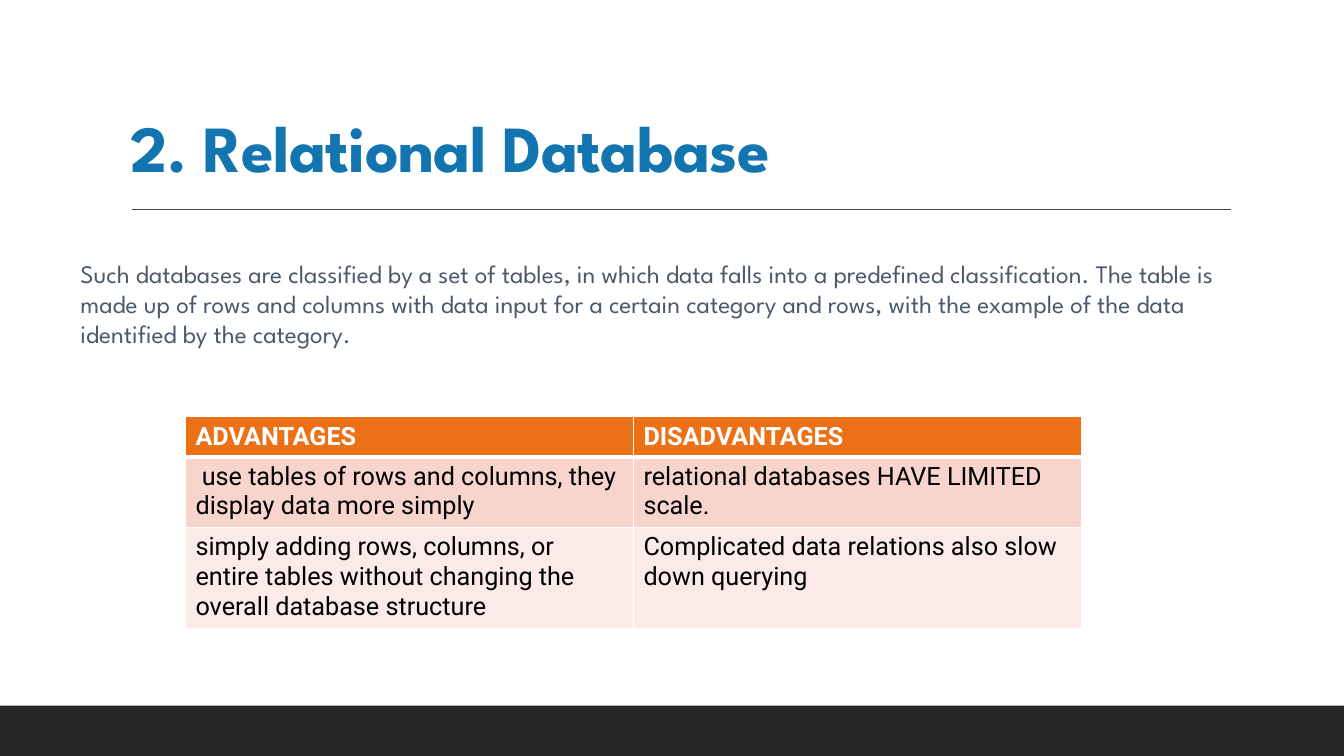
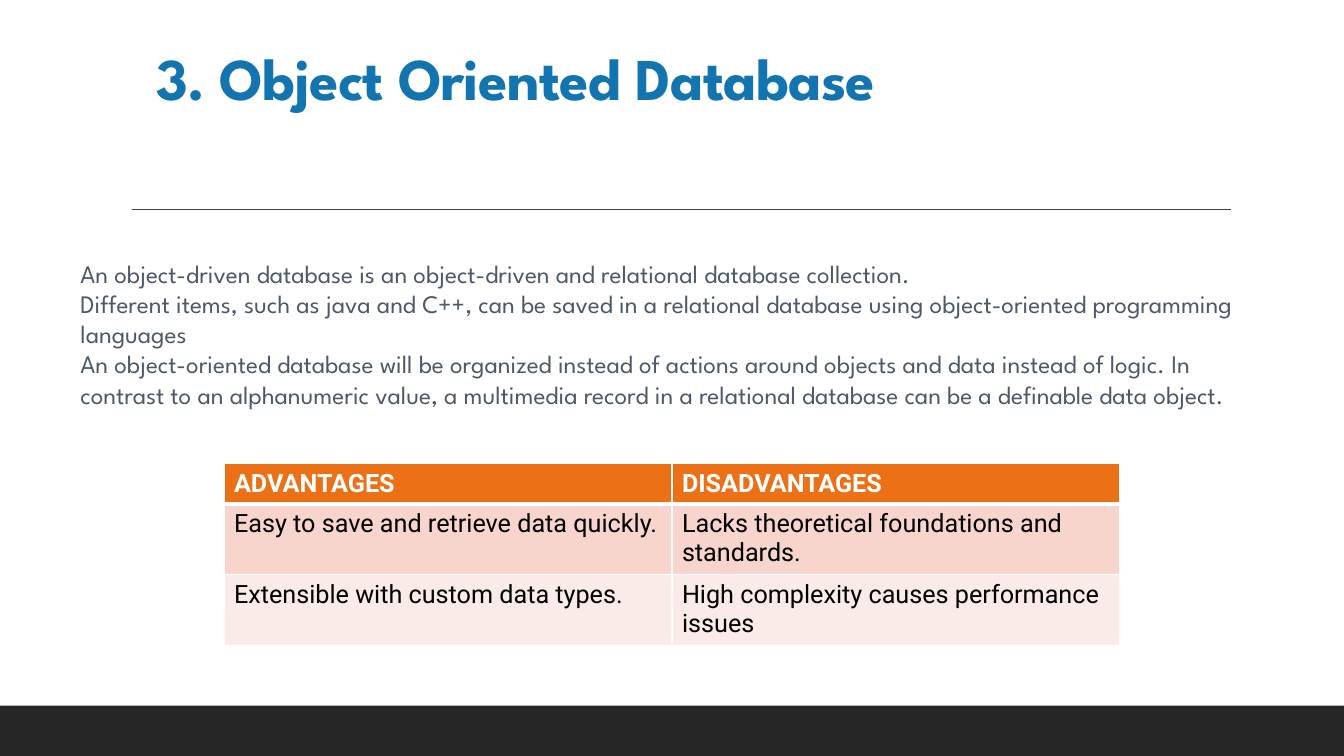
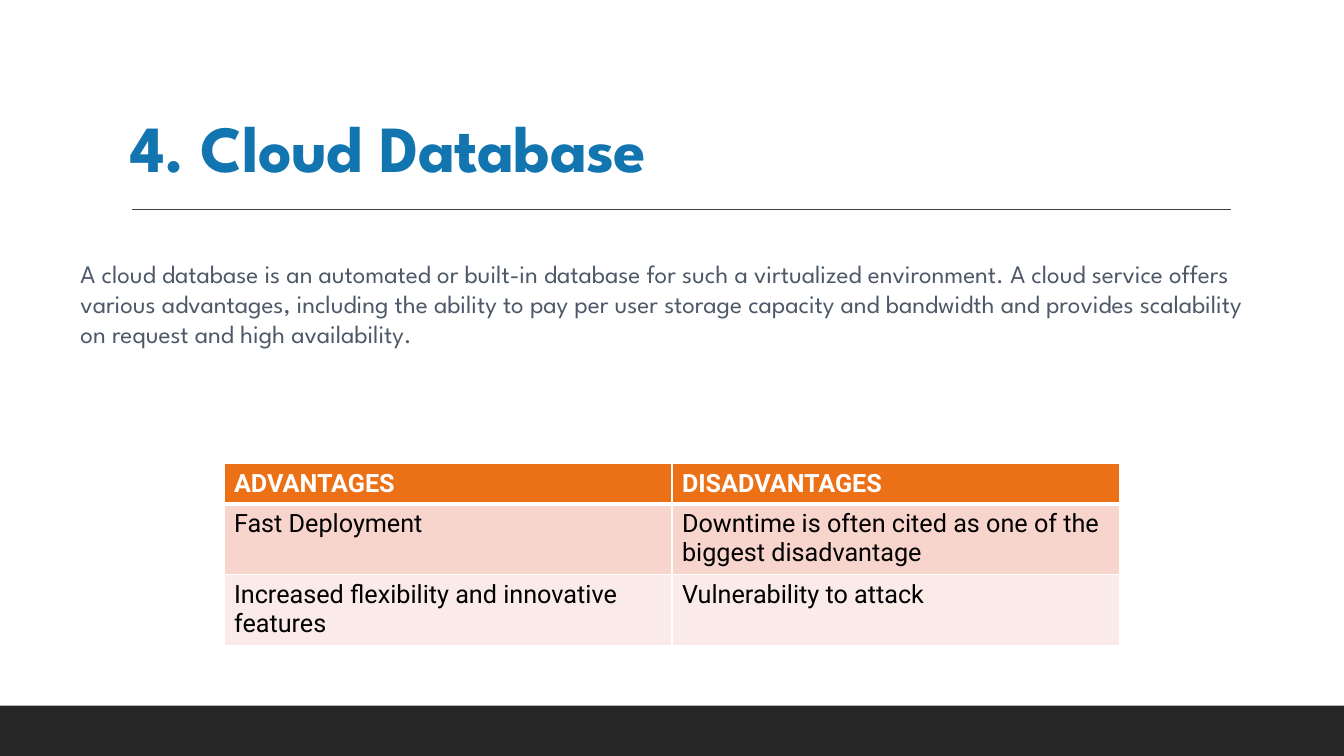
import pptx
import pptx.util
import pptx.dml.color
import pptx.enum.shapes
import pptx.enum.text
import pptx.oxml
import pptx.oxml.ns

Pt = pptx.util.Pt
WIDE, HIGH = 960, 540
BAND = 36
RULE = (94.3, 879.1, 149.8)
BODY = (50.4, 180.7, 862.6)
COL = 320
EDGE = "FFFFFF"
HEAD = ("ADVANTAGES", "DISADVANTAGES")
FILLS = ("EC7016", "F8D5CC", "FBEBE8")

TITLE = {"name": "League Spartan", "bold": True, "color": "1375B0"}
PROSE = {"name": "League Spartan", "size": Pt(18), "color": "4D5968"}
TOP = {"name": "Roboto", "size": Pt(18), "bold": True, "color": "FFFFFF"}
CELL = {"name": "Roboto", "size": Pt(18), "bold": False, "color": "000000"}

HIGHER = {"at": (86.4, 22.3, 792, 114.5), "size": 47}
SLIDES = [
    {
        "title": "2. Relational Database",
        "place": HIGHER,
        "prose": [
            "Such databases are classified by a set of tables, in which data falls into a predefined classification. The table is made up of rows and columns with data input for a certain category and rows, with the example of the data identified by the category.",
        ],
        "tall": 72.7,
        "grid": (132.5, 297.6),
        "rows": (28.4, 50, 71.8),
        "cells": [
            (" use tables of rows and columns, they display data more simply",
             "relational databases HAVE LIMITED scale."),
            ("simply adding rows, columns, or entire tables without changing the overall database structure",
             "Complicated data relations also slow down querying"),
        ],
    },
    {
        "title": "3. Object Oriented Database",
        "place": {"at": (104.4, 14.3, 792, 70), "size": 42.3},
        "prose": [
            "An object-driven database is an object-driven and relational database collection.",
            "Different items, such as java and C++, can be saved in a relational database using object-oriented programming languages",
            "An object-oriented database will be organized instead of actions around objects and data instead of logic. In contrast to an alphanumeric value, a multimedia record in a relational database can be a definable data object.",
        ],
        "tall": 138.2,
        "grid": (160, 331.2),
        "rows": (28.4, 50.4, 50.4),
        "cells": [
            ("Easy to save and retrieve data quickly.",
             "Lacks theoretical foundations and standards."),
            ("Extensible with custom data types.",
             "High complexity causes performance issues"),
        ],
    },
    {
        "title": "4. Cloud Database",
        "place": HIGHER,
        "prose": [
            "A cloud database is an automated or built-in database for such a virtualized environment. A cloud service offers various advantages, including the ability to pay per user storage capacity and bandwidth and provides scalability on request and high availability.",
        ],
        "tall": 72.7,
        "grid": (160, 331.2),
        "rows": (28.4, 50.4, 50.4),
        "cells": [
            ("Fast Deployment",
             "Downtime is often cited as one of the biggest disadvantage"),
            ("Increased flexibility and innovative features",
             "Vulnerability to attack"),
        ],
    },
]


def paint(item, tone):
    """Set a colour format from a hex string."""
    item.rgb = pptx.dml.color.RGBColor.from_string(tone)


def fill(item, tone):
    """Give an item a solid fill."""
    item.fill.solid()
    paint(item.fill.fore_color, tone)


def style(font, look):
    """Apply a dict of format values to a font."""
    for key, value in look.items():
        if key == "color":
            paint(font.color, value)
        else:
            setattr(font, key, value)


def write(frame, lines, look):
    """Write one styled paragraph per line."""
    frame.word_wrap = True
    for num, line in enumerate(lines):
        para = frame.add_paragraph() if num else frame.paragraphs[0]
        run = para.add_run()
        run.text = line
        style(run.font, look)


def box(slide, at, lines, look):
    """Add a wrapped text box and return its frame."""
    frame = slide.shapes.add_textbox(*map(Pt, at)).text_frame
    write(frame, lines, look)
    return frame


def base(slide):
    """Draw the bottom band and the title rule."""
    kind = pptx.enum.shapes.MSO_SHAPE.RECTANGLE
    band = slide.shapes.add_shape(kind, 0, Pt(HIGH - BAND), Pt(WIDE), Pt(BAND))
    band.shadow.inherit = False
    fill(band, "262626")
    band.line.fill.background()
    left, right, y = map(Pt, RULE)
    kind = pptx.enum.shapes.MSO_CONNECTOR.STRAIGHT
    rule = slide.shapes.add_connector(kind, left, y, right, y)
    paint(rule.line.color, "404040")
    rule.line.width = Pt(1)
    rule._element.spPr.append(pptx.oxml.parse_xml(
        f'<a:effectLst {pptx.oxml.ns.nsdecls("a")}/>'))


def head(slide, text, place):
    """Add the slide title."""
    frame = box(slide, place["at"], [text], {**TITLE, "size": Pt(place["size"])})
    frame.vertical_anchor = pptx.enum.text.MSO_ANCHOR.BOTTOM
    para = frame.paragraphs[0]
    para.line_spacing = 0.9
    para.runs[0]._r.get_or_add_rPr().set("spc", "-50")


def border(cell, row):
    """Edge a cell, with a thicker line under the header."""
    wide = {"L": 1, "R": 1, "T": 3 if row == 1 else 1, "B": 1 if row else 3}
    for side, size in wide.items():
        cell._tc.get_or_add_tcPr().append(pptx.oxml.parse_xml(
            f'<a:ln{side} {pptx.oxml.ns.nsdecls("a")} w="{Pt(size)}">'
            f'<a:solidFill><a:srgbClr val="{EDGE}"/></a:solidFill></a:ln{side}>'))


def table(slide, at, rows, cells):
    """Add the two-column comparison table."""
    size = (COL * len(HEAD), sum(rows))
    grid = slide.shapes.add_table(
        len(rows), len(HEAD), *map(Pt, at + size)).table
    grid.horz_banding = False
    for num, (tall, texts) in enumerate(zip(rows, [HEAD] + cells)):
        grid.rows[num].height = Pt(tall)
        for col, text in enumerate(texts):
            cell = grid.cell(num, col)
            border(cell, num)
            fill(cell, FILLS[num])
            write(cell.text_frame, [text], CELL if num else TOP)


def main():
    """Build the deck."""
    deck = pptx.Presentation()
    deck.slide_width, deck.slide_height = Pt(WIDE), Pt(HIGH)
    for data in SLIDES:
        slide = deck.slides.add_slide(deck.slide_layouts[6])
        base(slide)
        head(slide, data["title"], data["place"])
        box(slide, BODY + (data["tall"],), data["prose"], PROSE)
        table(slide, data["grid"], data["rows"], data["cells"])
    deck.save("out.pptx")


if __name__ == "__main__":
    main()
